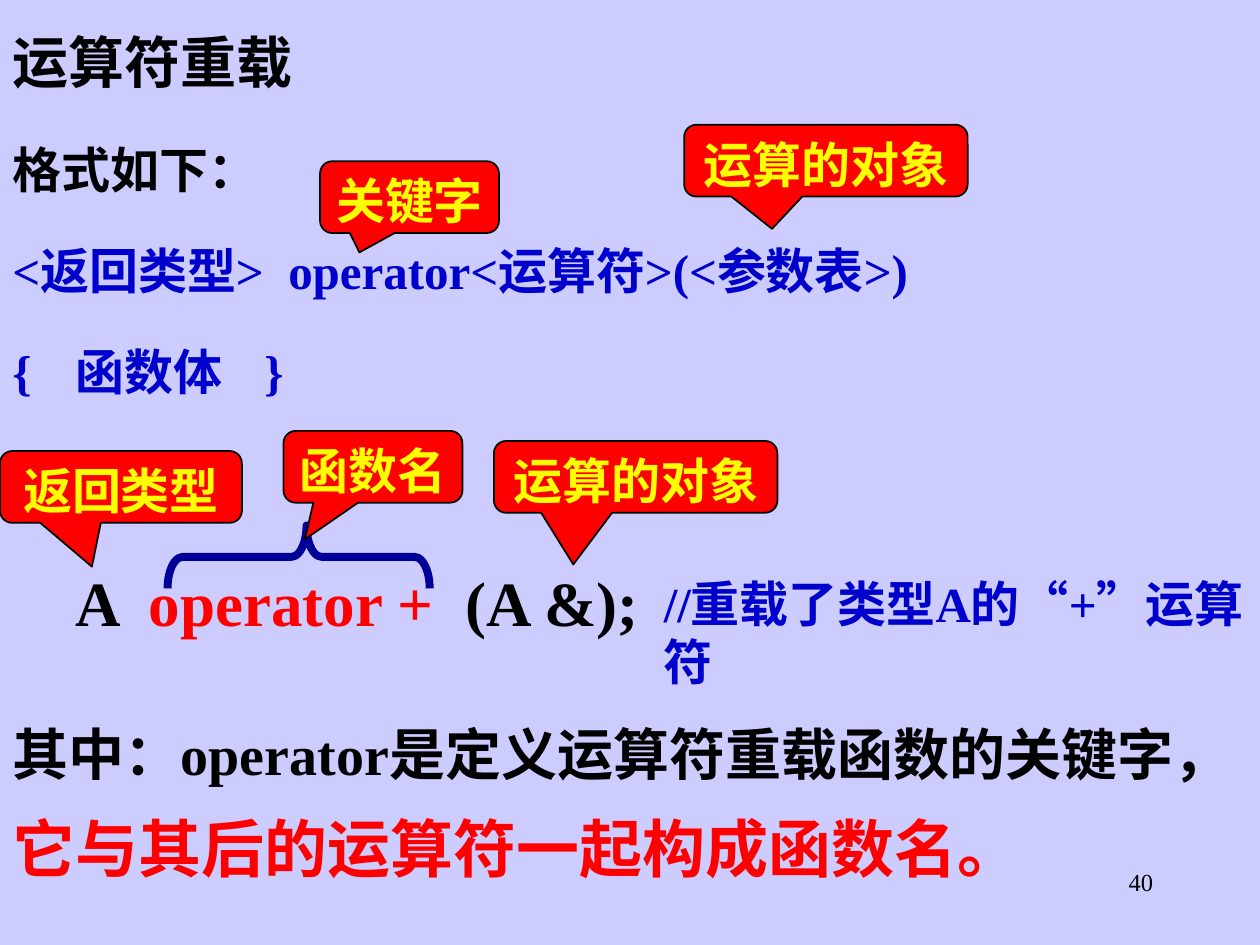
import pptx
import pptx.dml.color
import pptx.enum.shapes
import pptx.enum.text
import pptx.util

Inches = pptx.util.Inches
Pt = pptx.util.Pt
RGBColor = pptx.dml.color.RGBColor
Align = pptx.enum.text.PP_ALIGN
Anchor = pptx.enum.text.MSO_ANCHOR
Shape = pptx.enum.shapes.MSO_SHAPE

FONT = "Times New Roman"
BACKGROUND = RGBColor(0xCC, 0xCC, 0xFF)
BLACK = RGBColor(0, 0, 0)
RED = RGBColor(0xFF, 0, 0)
YELLOW = RGBColor(0xFF, 0xFF, 0)
BLUE = RGBColor(0, 0, 0xCC)
NAVY = RGBColor(0, 0, 0x99)


def add_run(paragraph, text, size=28, color=BLACK, bold=True):
    run = paragraph.add_run()
    run.text = text
    run.font.name = FONT
    run.font.size = Pt(size)
    run.font.bold = bold
    run.font.color.rgb = color


class SlideBuilder:
    def __init__(self, presentation):
        self.slide = presentation.slides.add_slide(presentation.slide_layouts[5])
        fill = self.slide.background.fill
        fill.solid()
        fill.fore_color.rgb = BACKGROUND

    def fill_text(self, frame, paragraphs, align=Align.LEFT, anchor=Anchor.TOP, spacing=1.0):
        """Each paragraph is a list of (text, format) runs."""
        frame.word_wrap = True
        frame.auto_size = pptx.enum.text.MSO_AUTO_SIZE.NONE
        frame.vertical_anchor = anchor
        for index, runs in enumerate(paragraphs):
            paragraph = frame.add_paragraph() if index else frame.paragraphs[0]
            paragraph.alignment = align
            paragraph.line_spacing = spacing
            paragraph.space_before = Pt(14 if index else 0)
            for text, style in runs:
                add_run(paragraph, text, **style)

    def title(self, text, left, top, width, height):
        title = self.slide.shapes.title
        title.left, title.top = Inches(left), Inches(top)
        title.width, title.height = Inches(width), Inches(height)
        self.fill_text(title.text_frame, [[(text, {"size": 32})]])

    def text(self, left, top, width, height, paragraphs, **layout):
        box = self.slide.shapes.add_textbox(
            Inches(left), Inches(top), Inches(width), Inches(height))
        self.fill_text(box.text_frame, paragraphs, **layout)

    def outline(self, kind, left, top, width, height, adjustments, color, weight):
        shape = self.slide.shapes.add_shape(
            kind, Inches(left), Inches(top), Inches(width), Inches(height))
        shape.shadow.inherit = False
        for index, value in enumerate(adjustments):
            shape.adjustments[index] = value
        shape.line.color.rgb = color
        shape.line.width = Pt(weight)
        return shape

    def callout(self, text, left, top, width, tip_x, tip_y):
        shape = self.outline(Shape.ROUNDED_RECTANGULAR_CALLOUT, left, top, width, 0.57,
                             (tip_x, tip_y, 0.17), BLACK, 1)
        shape.fill.solid()
        shape.fill.fore_color.rgb = RED
        frame = shape.text_frame
        frame.margin_left = frame.margin_right = Inches(0.02)
        frame.margin_top = frame.margin_bottom = 0
        self.fill_text(frame, [[(text, {"color": YELLOW})]],
                       align=Align.CENTER, anchor=Anchor.MIDDLE, spacing=1.1)

    def brace(self, left, top, width, height):
        shape = self.outline(Shape.LEFT_BRACE, left, top, width, height,
                             (0.24, 0.47), NAVY, 4.5)
        shape.fill.background()
        shape.rotation = 90


def main():
    presentation = pptx.Presentation()
    presentation.slide_width = Inches(10)
    presentation.slide_height = Inches(7.5)
    builder = SlideBuilder(presentation)

    # Title and slide number
    builder.title("运算符重载", 0, 0.17, 9.75, 0.63)
    builder.text(7.17, 6.83, 2.08, 0.5, [[("40", {"size": 14, "bold": False})]],
                 align=Align.RIGHT)

    # General form of the declaration
    builder.text(0, 0.92, 10, 2.39, [
        [("格式如下：", {})],
        [("<返回类型>  operator<运算符>(<参数表>)", {"color": BLUE})],
        [("{\t函数体\t}", {"color": BLUE})],
    ], spacing=1.3)

    # Example with its comment
    builder.text(0.5, 4.42, 5.5, 0.7, [[
        ("A  ", {"size": 36}),
        ("operator +", {"size": 36, "color": RED}),
        ("  (A &);", {"size": 36}),
    ]])
    builder.text(5.17, 4.5, 4.83, 1.04,
                 [[("//重载了类型A的“+”运算符", {"color": BLUE})]])

    # Explanation
    builder.text(0, 5.5, 10, 1.57, [[
        ("其中：operator是定义运算符重载函数的关键字，", {"size": 32}),
        ("它与其后的运算符一起构成函数名。", {"size": 36, "color": RED}),
    ]], spacing=1.3)

    # Brace over the function name, then the callouts
    builder.brace(2.12, 3.38, 0.5, 2.08)
    for callout in (
        ("返回类型", 0, 3.58, 1.92, -0.12, 1.11),
        ("运算的对象", 5.43, 0.99, 2.25, -0.19, 0.95),
        ("关键字", 2.54, 1.28, 1.42, -0.28, 0.77),
        ("函数名", 2.25, 3.42, 1.42, -0.38, 1.01),
        ("运算的对象", 3.92, 3.5, 2.25, -0.22, 1.22),
    ):
        builder.callout(*callout)

    presentation.save("out.pptx")


if __name__ == "__main__":
    main()
